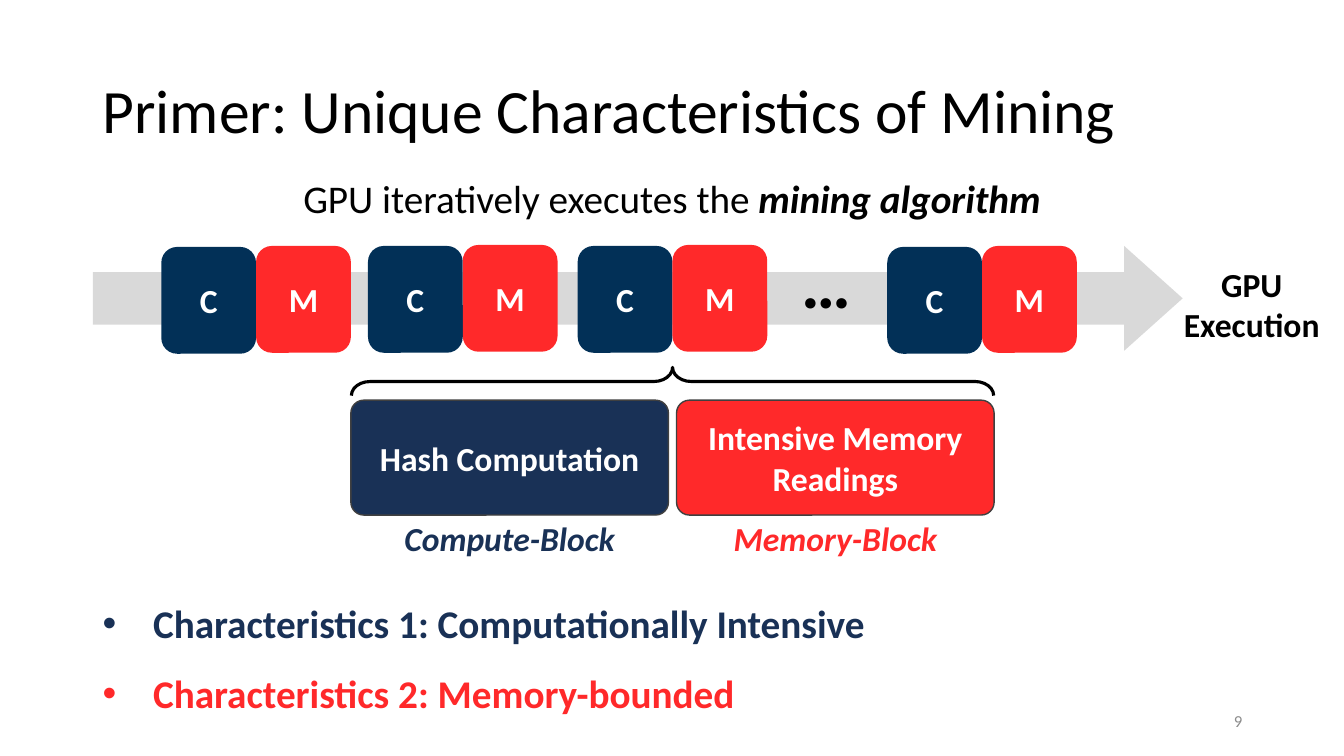
"""Build the slide on the unique characteristics of mining."""
from lxml import etree
from pptx import Presentation
from pptx.dml.color import RGBColor
from pptx.enum.shapes import MSO_SHAPE as SHAPE
from pptx.enum.text import MSO_ANCHOR as ANCHOR, PP_ALIGN as ALIGN
from pptx.oxml.ns import qn
from pptx.util import Inches, Pt

COLORS = {
    "black": "000000", "white": "FFFFFF", "navy": "193156", "deep": "023057",
    "red": "FF292A", "band": "D9D9D9", "edge": "404040", "number": "8C8C8C",
}
TITLE = "Primer: Unique Characteristics of Mining"
SUBTITLE = [("GPU iteratively executes the ", False), ("mining algorithm", True)]
BULLETS = [
    ("Characteristics 1: Computationally Intensive", "navy"),
    ("Characteristics 2: Memory-bounded", "red"),
]
ITERATIONS = [(1.6, 2.45), (3.65, 2.44), (5.73, 2.44), (8.8, 2.45)]
STEPS = [("C", "deep"), ("M", "red")]
STEP_W, STEP_H, STEP_RISE = 0.94, 1.06, 0.01
BLOCKS = [
    ("Hash Computation", "Compute-Block", "navy"),
    ("Intensive Memory Readings", "Memory-Block", "red"),
]
BLOCK_X, BLOCK_Y, BLOCK_W, BLOCK_H, BLOCK_PITCH = 3.48, 3.97, 3.15, 1.14, 3.23
CAPTION_Y, CAPTION_W, CAPTION_H = 5.09, 2.84, 0.5


def rgb(name):
    return RGBColor.from_string(COLORS[name])


def style(r, size, color, bold=False, italic=False):
    r.font.name = "Calibri"
    r.font.size = Pt(size)
    r.font.color.rgb = rgb(color)
    r.font.bold = bold
    r.font.italic = italic


def write(s, text, size, color, align=ALIGN.CENTER, anchor=ANCHOR.TOP,
          bold=False, italic=False):
    tf = s.text_frame
    tf.word_wrap = True
    tf.vertical_anchor = anchor
    p = tf.paragraphs[0]
    p.text = text
    p.alignment = align
    for r in p.runs:
        style(r, size, color, bold, italic)
    return p


def add_text(sp, box, text, size, color, **options):
    s = sp.add_textbox(*map(Inches, box))
    return write(s, text, size, color, **options)


def add_shape(sp, kind, box, fill=None, line=None, width=1, adjust=()):
    s = sp.add_shape(kind, *map(Inches, box))
    s.shadow.inherit = False
    if fill:
        s.fill.solid()
        s.fill.fore_color.rgb = rgb(fill)
    else:
        s.fill.background()
    if line:
        s.line.color.rgb = rgb(line)
        s.line.width = Pt(width)
    else:
        s.line.fill.background()
    for i, value in enumerate(adjust):
        s.adjustments[i] = value
    return s


def add_headings(sp):
    p = add_text(sp, (0.92, 0.4, 11.5, 1.45), TITLE, 44, "black",
                 align=ALIGN.LEFT, anchor=ANCHOR.MIDDLE)
    p.line_spacing = 0.9
    p = add_text(sp, (2.15, 1.68, 9.03, 0.57), "", 28, "black")
    for text, strong in SUBTITLE:
        r = p.add_run()
        r.text = text
        style(r, 28, "black", strong, strong)


def add_timeline(sp):
    add_shape(sp, SHAPE.RIGHT_ARROW, (0.92, 2.44, 10.81, 1.04), "band",
              adjust=(0.5, 0.558))
    add_text(sp, (7.77, 2.31, 0.85, 0.94), "…", 50, "black",
             anchor=ANCHOR.MIDDLE, bold=True)
    add_text(sp, (11.38, 2.57, 2.07, 0.91), "GPU Execution", 24, "black", bold=True)
    for x, y in ITERATIONS:
        for i, (letter, fill) in enumerate(STEPS):
            box = (x + i * STEP_W, y - i * STEP_RISE, STEP_W, STEP_H)
            s = add_shape(sp, SHAPE.ROUNDED_RECTANGLE, box, fill)
            write(s, letter, 24, "white", anchor=ANCHOR.MIDDLE, bold=True)


def add_blocks(sp):
    brace = add_shape(sp, SHAPE.LEFT_BRACE, (6.53, 0.6, 0.28, 6.37), line="black",
                      width=2.25, adjust=(0.661, 0.5))
    brace.rotation = 90
    for i, (text, caption, color) in enumerate(BLOCKS):
        x = BLOCK_X + i * BLOCK_PITCH
        s = add_shape(sp, SHAPE.ROUNDED_RECTANGLE, (x, BLOCK_Y, BLOCK_W, BLOCK_H),
                      color, "edge", adjust=(0.112,))
        write(s, text, 24, "white", anchor=ANCHOR.MIDDLE, bold=True)
        caption_x = x + (BLOCK_W - CAPTION_W) / 2
        add_text(sp, (caption_x, CAPTION_Y, CAPTION_W, CAPTION_H), caption, 24, color,
                 bold=True, italic=True)


def add_bullets(sp):
    tf = sp.add_textbox(*map(Inches, (0.92, 5.66, 9.18, 1.44))).text_frame
    tf.word_wrap = True
    for i, (text, color) in enumerate(BULLETS):
        p = tf.add_paragraph() if i else tf.paragraphs[0]
        p.text = text
        p.line_spacing = 1.5
        pPr = p._p.get_or_add_pPr()
        pPr.set("marL", str(Inches(0.5)))
        pPr.set("indent", str(-Inches(0.5)))
        etree.SubElement(pPr, qn("a:buFont")).set("typeface", "Arial")
        etree.SubElement(pPr, qn("a:buChar")).set("char", "•")
        style(p.runs[0], 28, color, bold=True)


def main():
    prs = Presentation()
    prs.slide_width, prs.slide_height = Inches(13.33), Inches(7.5)
    sp = prs.slides.add_slide(prs.slide_layouts[6]).shapes
    add_headings(sp)
    add_bullets(sp)
    add_blocks(sp)
    add_timeline(sp)
    add_text(sp, (9.42, 6.95, 3, 0.4), "9", 12, "number",
             align=ALIGN.RIGHT, anchor=ANCHOR.MIDDLE)
    prs.save("out.pptx")


if __name__ == "__main__":
    main()
